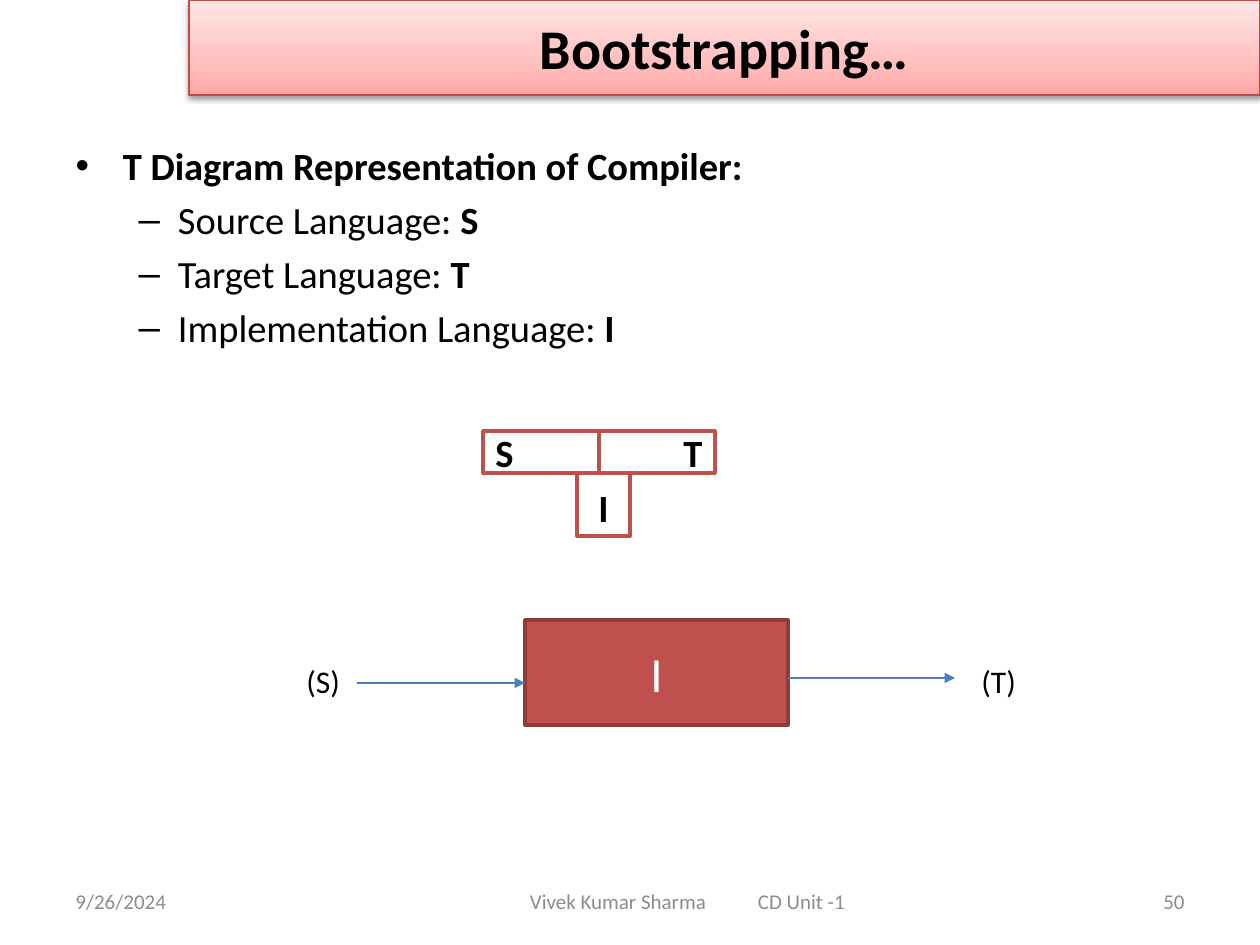
from dataclasses import dataclass
from typing import Optional

from lxml import etree
from pptx import Presentation
from pptx.dml.color import RGBColor
from pptx.enum.shapes import MSO_CONNECTOR, MSO_SHAPE
from pptx.enum.text import MSO_ANCHOR, PP_ALIGN
from pptx.oxml import parse_xml
from pptx.oxml.ns import qn
from pptx.util import Pt

EMU_PER_PX = 914400 / 126
FONT = "Calibri"
DRAWING_NS = 'xmlns:a="http://schemas.openxmlformats.org/drawingml/2006/main"'

LEFT, CENTER, RIGHT, JUSTIFY = (
    PP_ALIGN.LEFT, PP_ALIGN.CENTER, PP_ALIGN.RIGHT, PP_ALIGN.JUSTIFY)
TOP, MIDDLE, BOTTOM = MSO_ANCHOR.TOP, MSO_ANCHOR.MIDDLE, MSO_ANCHOR.BOTTOM
RECTANGLE = MSO_SHAPE.RECTANGLE
STRAIGHT = MSO_CONNECTOR.STRAIGHT

BLACK = RGBColor(0x00, 0x00, 0x00)
WHITE = RGBColor(0xFF, 0xFF, 0xFF)
GREY = RGBColor(0x8C, 0x8C, 0x8C)
RED = RGBColor(0xC0, 0x50, 0x4D)
DARK_RED = RGBColor(0x8E, 0x3B, 0x39)
TITLE_RED = RGBColor(0xBF, 0x4C, 0x48)
BLUE = RGBColor(0x4B, 0x7E, 0xBC)

TITLE_GRADIENT = f"""<a:gradFill {DRAWING_NS} rotWithShape="1"><a:gsLst>
<a:gs pos="0"><a:srgbClr val="FFA6A5"/></a:gs>
<a:gs pos="35000"><a:srgbClr val="FFC0BF"/></a:gs>
<a:gs pos="100000"><a:srgbClr val="FFE7E7"/></a:gs>
</a:gsLst><a:lin ang="16200000" scaled="1"/></a:gradFill>"""
TITLE_SHADOW = f"""<a:effectLst {DRAWING_NS}>
<a:outerShdw blurRad="40000" dist="20000" dir="5400000" rotWithShape="0">
<a:srgbClr val="000000"><a:alpha val="38000"/></a:srgbClr>
</a:outerShdw></a:effectLst>"""


@dataclass
class Label:
    text: str
    left: int
    top: int
    width: int
    height: int
    size: int
    color: RGBColor = BLACK
    align: PP_ALIGN = LEFT
    anchor: MSO_ANCHOR = MIDDLE
    bold: bool = False


@dataclass
class Block:
    label: Label
    line: RGBColor = RED
    fill: Optional[RGBColor] = None


@dataclass
class Arrow:
    start: int
    end: int
    y: int


def px(value: int) -> int:
    return round(value * EMU_PER_PX)


def place(shape, left: int, top: int, width: int, height: int) -> None:
    shape.left, shape.top = px(left), px(top)
    shape.width, shape.height = px(width), px(height)


def style_span(span, size: int, color: RGBColor, bold: bool) -> None:
    span.font.name = FONT
    span.font.size = Pt(size)
    span.font.color.rgb = color
    span.font.bold = bold


def write_label(shape, label: Label) -> None:
    frame = shape.text_frame
    frame.text = label.text
    frame.word_wrap = True
    frame.vertical_anchor = label.anchor
    para = frame.paragraphs[0]
    para.alignment = label.align
    for span in para.runs:
        style_span(span, label.size, label.color, label.bold)


def draw_label(page, label: Label):
    box = page.shapes.add_textbox(
        px(label.left), px(label.top), px(label.width), px(label.height))
    write_label(box, label)
    return box


def draw_block(page, block: Block) -> None:
    label = block.label
    shape = page.shapes.add_shape(
        RECTANGLE, px(label.left), px(label.top), px(label.width), px(label.height))
    shape.shadow.inherit = False
    if block.fill is None:
        shape.fill.background()
    else:
        shape.fill.solid()
        shape.fill.fore_color.rgb = block.fill
    shape.line.color.rgb = block.line
    shape.line.width = Pt(2)
    write_label(shape, label)


def draw_arrow(page, arrow: Arrow) -> None:
    line = page.shapes.add_connector(
        STRAIGHT, px(arrow.start), px(arrow.y), px(arrow.end), px(arrow.y))
    line.line.color.rgb = BLUE
    line.line.width = Pt(0.75)
    properties = line._element.spPr
    etree.SubElement(properties.find(qn("a:ln")), qn("a:tailEnd"), type="triangle")
    etree.SubElement(properties, qn("a:effectLst"))


def draw_title(title) -> None:
    label = Label("Bootstrapping…", 189, 0, 1071, 95, 32, align=CENTER, bold=True)
    place(title, label.left, label.top, label.width, label.height)
    title._element.spPr.append(parse_xml(TITLE_GRADIENT))
    title.line.color.rgb = TITLE_RED
    title.line.width = Pt(0.75)
    title._element.spPr.append(parse_xml(TITLE_SHADOW))
    write_label(title, label)


def draw_list(body) -> None:
    place(body, 63, 136, 1134, 708)
    frame = body.text_frame
    frame.text = "T Diagram Representation of Compiler:"
    heading = frame.paragraphs[0]
    heading.alignment = JUSTIFY
    heading.space_before = Pt(0)
    style_span(heading.runs[0], 22, BLACK, True)
    for role, letter in (("Source", "S"), ("Target", "T"), ("Implementation", "I")):
        para = frame.add_paragraph()
        para.text = f"{role} Language: "
        para.level = 1
        para.alignment = JUSTIFY
        style_span(para.runs[0], 22, BLACK, False)
        span = para.add_run()
        span.text = letter
        style_span(span, 22, BLACK, True)


def draw_footer(page) -> None:
    top, height = 876, 50
    draw_label(page, Label("9/26/2024", 63, top, 293, height, 12, GREY))
    draw_label(page, Label("50", 903, top, 294, height, 12, GREY, RIGHT))
    # Author and course share a box, parted by a tab stop
    box = draw_label(page, Label(
        "Vivek Kumar Sharma\tCD Unit -1", 305, top, 766, height, 12, GREY))
    box.text_frame.margin_left = px(225)
    properties = box.text_frame.paragraphs[0]._p.get_or_add_pPr()
    tabs = etree.SubElement(properties, qn("a:tabLst"))
    etree.SubElement(tabs, qn("a:tab"), pos=str(px(228)), algn="l")


def main() -> None:
    deck = Presentation()
    deck.slide_width, deck.slide_height = px(1260), px(945)
    page = deck.slides.add_slide(deck.slide_layouts[1])

    draw_footer(page)
    draw_title(page.shapes.title)
    draw_list(page.placeholders[1])

    # T diagram, then the compiler as a box
    arm_left, arm_top, arm_width, arm_height = 483, 431, 116, 42
    blocks = [
        Block(Label("S", arm_left, arm_top, arm_width, arm_height, 22, bold=True)),
        Block(Label("T", arm_left + arm_width, arm_top, arm_width, arm_height, 22,
                    align=RIGHT, bold=True)),
        Block(Label("I", 577, arm_top + arm_height, 53, 63, 22,
                    align=CENTER, anchor=BOTTOM, bold=True)),
        Block(Label("I", 525, 620, 263, 105, 28, WHITE, CENTER), DARK_RED, RED),
    ]
    for block in blocks:
        draw_block(page, block)

    # Input and output of the compiler
    for arrow in (Arrow(357, 525, 683), Arrow(788, 955, 678)):
        draw_arrow(page, arrow)
    for text, left in (("(S)", 294), ("(T)", 969)):
        draw_label(page, Label(text, left, 656, 105, 50, 18, anchor=TOP))

    deck.save("out.pptx")


if __name__ == "__main__":
    main()
